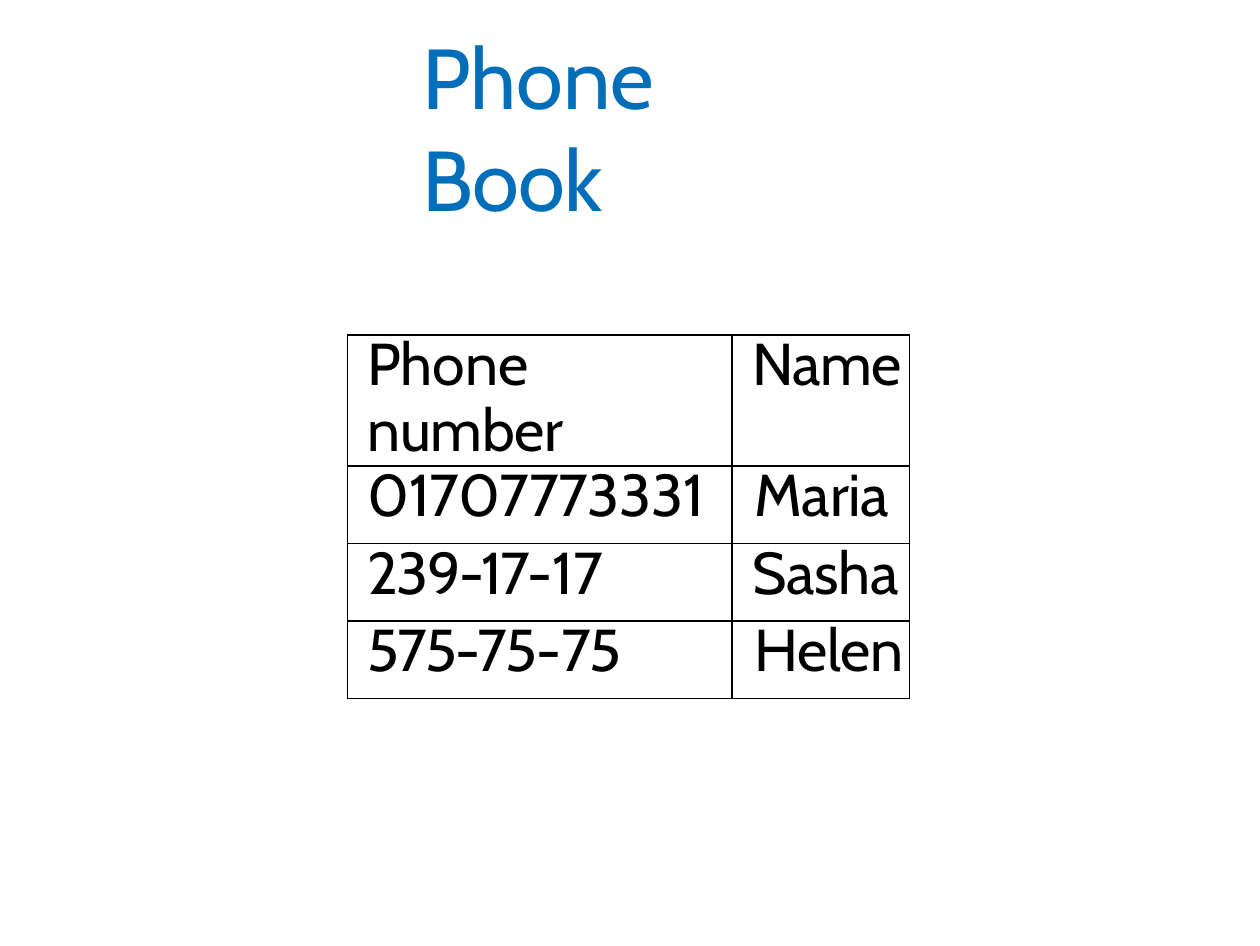
from dataclasses import dataclass

from lxml.etree import SubElement
from pptx import Presentation
from pptx.dml.color import RGBColor
from pptx.enum.text import MSO_AUTO_SIZE
from pptx.oxml.ns import qn
from pptx.slide import Slide
from pptx.table import _Cell
from pptx.text.text import _Paragraph
from pptx.util import Inches, Pt

FONT = "Cabin"
BLUE, BLACK = "006EB8", "000000"


@dataclass
class Piece:
    text: str
    spacing: float = 0  # points between letters


@dataclass
class Entry:
    number: list[Piece]
    name: list[Piece]
    name_indent: float = 0.08


ENTRIES = [
    Entry([Piece("Phone "), Piece("number", -0.1)], [Piece("Name", -0.2)]),
    Entry([Piece("01707773331", -0.1)], [Piece("Maria", -0.1)], 0.09),
    Entry([Piece("239-17-", -0.5), Piece("17", -0.2)], [Piece("Sasha", -0.1)]),
    Entry([Piece("575-75-", -0.5), Piece("75", -0.2)], [Piece("Helen", -0.1)], 0.09),
]
COLUMN_WIDTHS = [1.54, 0.71]
ROW_HEIGHT = 0.31
POINTS_PER_INCH = 72


def rgb(color: str) -> RGBColor:
    return RGBColor.from_string(color)


def write(p: _Paragraph, pieces: list[Piece], size: float, color: str, indent: float) -> None:
    p._p.get_or_add_pPr().set("marL", str(Inches(indent)))
    for piece in pieces:
        r = p.add_run()
        r.text = piece.text
        r.font.name = FONT
        r.font.size = Pt(size)
        r.font.color.rgb = rgb(color)
        r._r.get_or_add_rPr().set("spc", str(round(piece.spacing * 100)))


def add_borders(cell: _Cell, color: str, width: float) -> None:
    tc_pr = cell._tc.get_or_add_tcPr()
    for i, side in enumerate(("lnL", "lnR", "lnT", "lnB")):
        ln = SubElement(tc_pr, qn(f"a:{side}"), w=str(Pt(width)))
        fill = SubElement(ln, qn("a:solidFill"))
        SubElement(fill, qn("a:srgbClr"), val=color)
        tc_pr.insert(i, ln)


def fill_cell(cell: _Cell, pieces: list[Piece], indent: float) -> None:
    cell.margin_left = cell.margin_right = cell.margin_top = cell.margin_bottom = 0
    cell.fill.background()
    add_borders(cell, BLACK, 0.5)
    p = cell.text_frame.paragraphs[0]
    p.line_spacing = Pt(18.9)
    write(p, pieces, 17, BLACK, indent)


def add_title(s: Slide) -> None:
    sp = s.shapes.add_textbox(Inches(1.68), Inches(0.08), Inches(1.69), Inches(0.44))
    tf = sp.text_frame
    tf.word_wrap = True
    tf.auto_size = MSO_AUTO_SIZE.SHAPE_TO_FIT_TEXT
    tf.margin_left = tf.margin_right = tf.margin_bottom = 0
    tf.margin_top = Inches(0.02)
    write(tf.paragraphs[0], [Piece("Phone "), Piece("Book", -0.2)], 24.5, BLUE, 0.01)


def add_phone_table(s: Slide) -> None:
    table = s.shapes.add_table(
        len(ENTRIES), len(COLUMN_WIDTHS), Inches(1.39), Inches(1.34),
        Inches(sum(COLUMN_WIDTHS)), Inches(ROW_HEIGHT * len(ENTRIES))).table
    table.first_row = table.horz_banding = False
    for column, width in zip(table.columns, COLUMN_WIDTHS):
        column.width = Inches(width)
    for row, entry in zip(table.rows, ENTRIES):
        row.height = Inches(ROW_HEIGHT)
        fill_cell(row.cells[0], entry.number, 0.08)
        fill_cell(row.cells[1], entry.name, entry.name_indent)


def main() -> None:
    prs = Presentation()
    prs.slide_width = Inches(363 / POINTS_PER_INCH)
    prs.slide_height = Inches(272.5 / POINTS_PER_INCH)
    s = prs.slides.add_slide(prs.slide_layouts[6])
    add_title(s)
    add_phone_table(s)
    prs.save("out.pptx")


if __name__ == "__main__":
    main()
